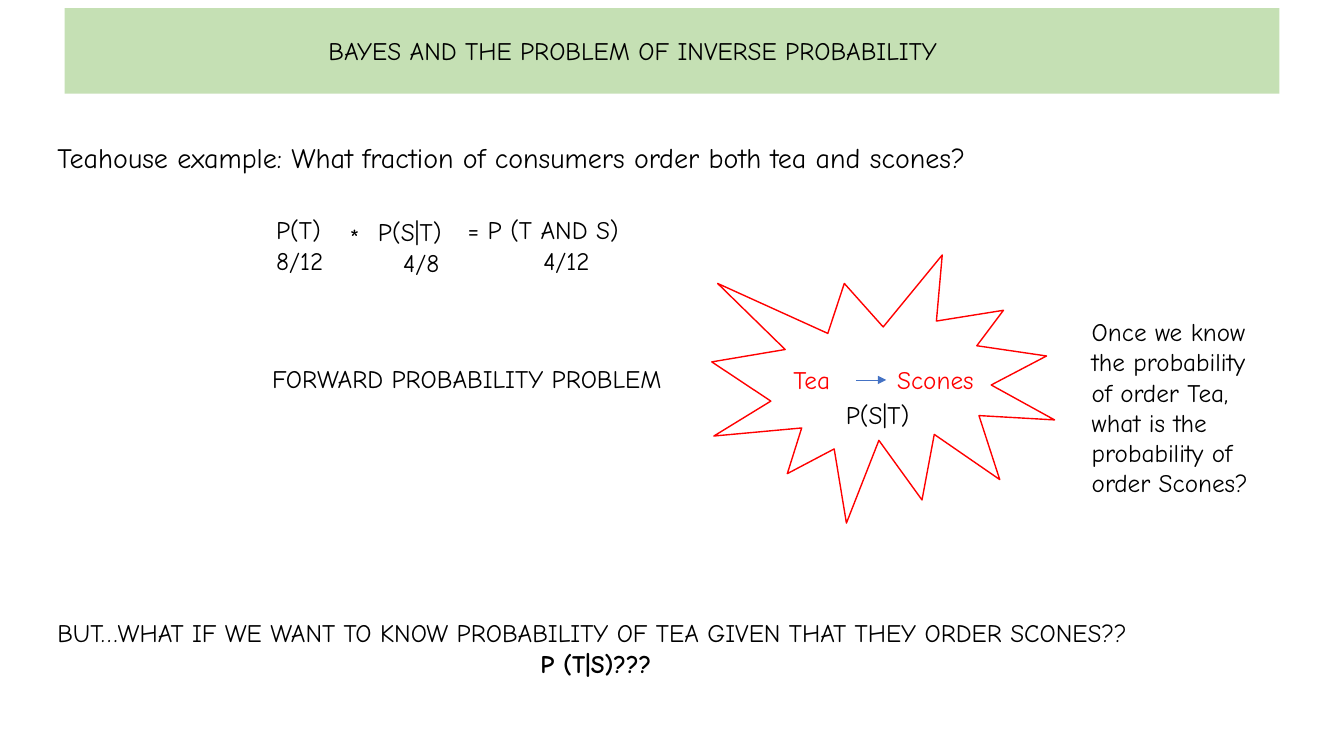
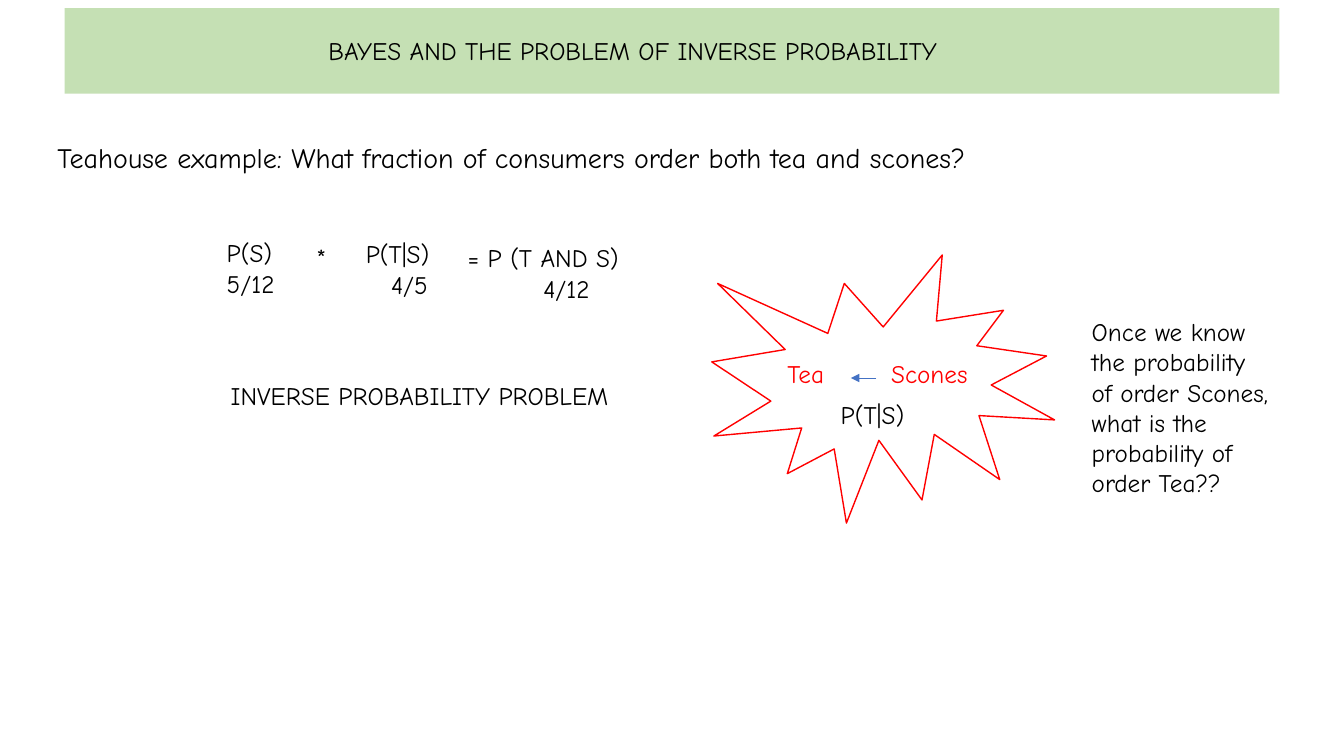
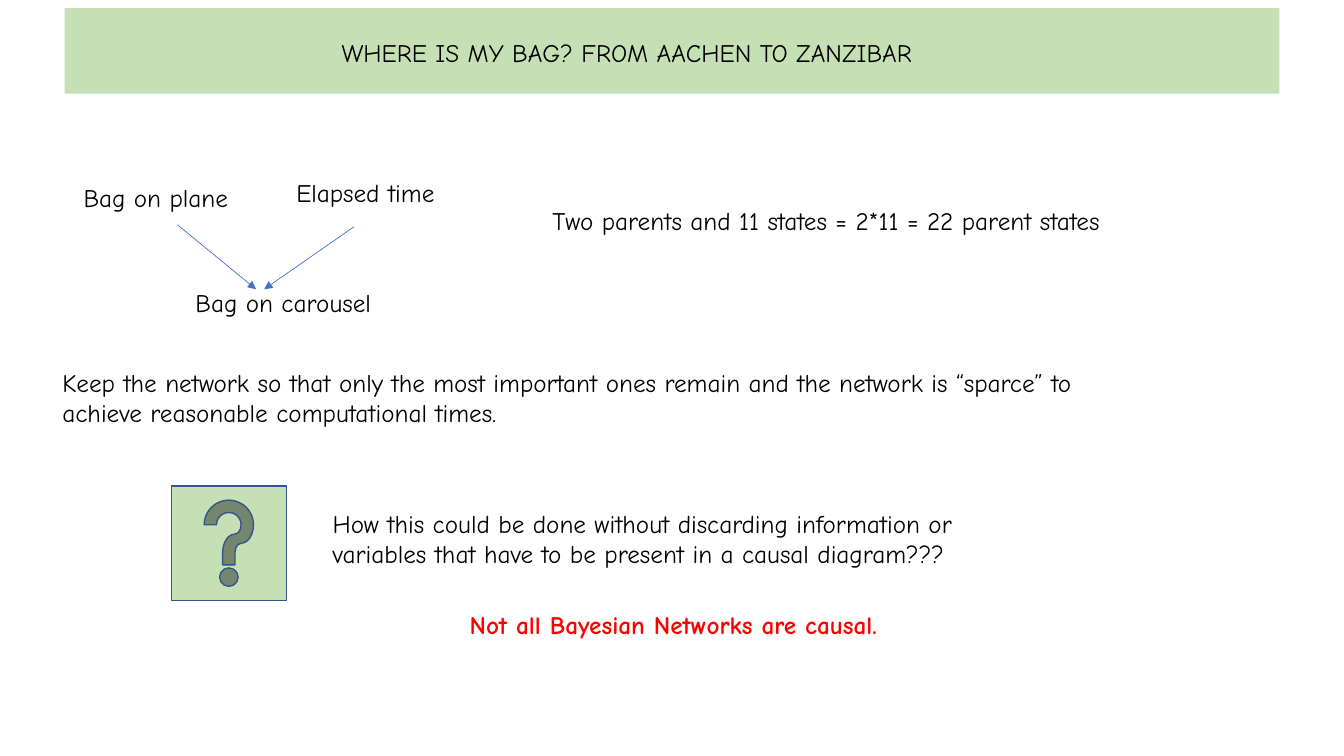
from lxml import etree
from pptx import Presentation
from pptx.dml.color import RGBColor
from pptx.enum.shapes import MSO_CONNECTOR, MSO_SHAPE
from pptx.enum.text import PP_ALIGN
from pptx.oxml.ns import qn
from pptx.util import Inches, Pt

STRAIGHT = MSO_CONNECTOR.STRAIGHT
RECTANGLE = MSO_SHAPE.RECTANGLE
BURST = MSO_SHAPE.EXPLOSION1
HELP_BUTTON = MSO_SHAPE.ACTION_BUTTON_HELP
CENTER = PP_ALIGN.CENTER

FONT = "Comic Neue"
BLACK = RGBColor(0x00, 0x00, 0x00)
RED = RGBColor(0xFF, 0x00, 0x00)
GREEN = RGBColor(0xC5, 0xE0, 0xB4)
BLUE = RGBColor(0x44, 0x72, 0xC4)
DARK_BLUE = RGBColor(0x32, 0x54, 0x91)

BAYES_TITLE = "BAYES AND THE PROBLEM OF INVERSE PROBABILITY"
LINE_HEIGHT = 0.4


# Basic parts
def add_text(page, left, top, width, *lines, size=18, color=BLACK, bold=False):
    box = page.shapes.add_textbox(Inches(left), Inches(top), Inches(width),
                                  Inches(LINE_HEIGHT))
    frame = box.text_frame
    frame.word_wrap = True
    for number, line in enumerate(lines):
        para = frame.paragraphs[0] if number == 0 else frame.add_paragraph()
        para.text = line
        font = para.font
        font.name, font.size, font.bold = FONT, Pt(size), bold
        font.color.rgb = color
    return frame.paragraphs


def indent(para, distance):
    para._p.get_or_add_pPr().set("marL", str(Inches(distance)))


def add_tab_stop(para, distance):
    tabs = etree.Element(qn("a:tabLst"))
    etree.SubElement(tabs, qn("a:tab"), pos=str(Inches(distance)), algn="l")
    para._p.get_or_add_pPr().insert(0, tabs)


def add_preset(page, kind, left, top, width, height, fill=None, line=None):
    shape = page.shapes.add_shape(kind, Inches(left), Inches(top),
                                  Inches(width), Inches(height))
    shape.shadow.inherit = False
    if fill is None:
        shape.fill.background()
    else:
        shape.fill.solid()
        shape.fill.fore_color.rgb = fill
    if line is None:
        shape.line.fill.background()
    else:
        shape.line.color.rgb = line
        shape.line.width = Pt(1)


def add_arrow(page, start, end):
    arrow = page.shapes.add_connector(
        STRAIGHT, *(Inches(value) for value in (*start, *end)))
    arrow.line.color.rgb = BLUE
    arrow.line.width = Pt(0.5)
    etree.SubElement(arrow.line._get_or_add_ln(), qn("a:tailEnd"), type="triangle")
    etree.SubElement(arrow._element.spPr, qn("a:effectLst"))


# Shared title band
def add_page(deck, title, left, top):
    page = deck.slides.add_slide(deck.slide_layouts[6])
    add_preset(page, RECTANGLE, 0.64, 0.08, 12.05, 0.85, fill=GREEN)
    add_text(page, left, top, 7, title)
    return page


# Product rule: each term is (left, top, symbol, value, value indent)
def add_equation(page, left, top, terms):
    for across, down, symbol, value, shift in terms:
        lines = [symbol, value] if value else [symbol]
        paras = add_text(page, left + across, top + down,
                         2.85 if shift > 0.5 else 1.05, *lines)
        if shift:
            indent(paras[1], shift)


# Burst with the direction of reasoning
def add_burst(page, left, top, words_at, arrow_span, arrow_down, formula, formula_left):
    add_preset(page, BURST, left, top, 3.4, 2.66, line=RED)
    words = add_text(page, left + words_at[0], top + words_at[1], 2.08,
                     "Tea\tScones", color=RED)
    add_tab_stop(words[0], 1.03)
    start, end = arrow_span
    add_arrow(page, (left + start, top + arrow_down), (left + end, top + arrow_down))
    add_text(page, left + formula_left, top + 1.38, 1.05, formula)


def add_teahouse_page(deck, equation, problem, burst, question):
    page = add_page(deck, BAYES_TITLE, 3.16, 0.3)
    add_text(page, 0.47, 1.34, 10.12,
             "Teahouse example: What fraction of consumers order both tea and scones?",
             size=20)
    add_equation(page, *equation)
    add_text(page, *problem)
    add_burst(page, 7.06, 2.53, *burst)
    add_text(page, 10.73, 3.09, 2, question)
    return page


def add_forward_page(deck):
    terms = [(0, 0, "P(T)", "8/12", 0), (0.73, 0.08, "*", None, 0),
             (1.01, 0.02, "P(S|T)", "4/8", 0.25),
             (1.9, 0, "= P (T AND S)", "4/12", 0.75)]
    page = add_teahouse_page(
        deck, (2.64, 2.08, terms),
        (2.6, 3.56, 4.56, "FORWARD PROBABILITY PROBLEM"),
        ((0.71, 1.04), (1.43, 1.73), 1.24, "P(S|T)", 1.23),
        "Once we know the probability of order Tea, "
        "what is the probability of order Scones?")
    closing = add_text(
        page, 0.47, 6.08, 10.88,
        "BUT…WHAT IF WE WANT TO KNOW PROBABILITY OF TEA GIVEN THAT THEY ORDER SCONES??",
        "P (T|S)???")
    closing[1].alignment = CENTER
    closing[1].font.bold = True


def add_inverse_page(deck):
    terms = [(0, 0, "P(S)", "5/12", 0), (0.89, 0.05, "*", None, 0),
             (1.38, 0.01, "P(T|S)", "4/5", 0.25),
             (2.39, 0.05, "= P (T AND S)", "4/12", 0.75)]
    add_teahouse_page(
        deck, (2.15, 2.31, terms),
        (2.19, 3.72, 4.42, "INVERSE PROBABILITY PROBLEM"),
        ((0.65, 0.98), (1.63, 1.38), 1.22, "P(T|S)", 1.18),
        "Once we know the probability of order Scones, "
        "what is the probability of order Tea??")


# Two causes pointing at one effect
def add_bag_network(page, left, top):
    for across, down, label in [(0, 0.05, "Bag on plane"), (2.11, 0, "Elapsed time"),
                                (1.11, 1.09, "Bag on carousel")]:
        add_text(page, left + across, top + down, 2.05, label)
    for start, end in [((1.03, 0.52), (1.81, 1.16)), ((2.78, 0.54), (1.89, 1.16))]:
        add_arrow(page, (left + start[0], top + start[1]),
                  (left + end[0], top + end[1]))


def add_bag_page(deck):
    page = add_page(deck, "WHERE IS MY BAG? FROM AACHEN TO ZANZIBAR", 3.29, 0.32)
    add_bag_network(page, 0.73, 1.71)
    add_text(page, 5.38, 1.99, 6.33,
             "Two parents and 11 states = 2*11 = 22 parent states")
    add_text(page, 0.52, 3.59, 10.61,
             "Keep the network so that only the most important ones remain and the "
             "network is “sparce” to achieve reasonable computational times.")
    add_preset(page, HELP_BUTTON, 1.7, 4.82, 1.14, 1.14, fill=GREEN, line=DARK_BLUE)
    add_text(page, 3.2, 4.99, 7.17,
             "How this could be done without discarding information or variables "
             "that have to be present in a causal diagram???")
    add_text(page, 4.56, 6, 4.46, "Not all Bayesian Networks are causal.",
             color=RED, bold=True)


def main():
    deck = Presentation()
    deck.slide_width, deck.slide_height = Inches(13.33), Inches(7.5)
    add_forward_page(deck)
    add_inverse_page(deck)
    add_bag_page(deck)
    deck.save("out.pptx")


if __name__ == "__main__":
    main()
